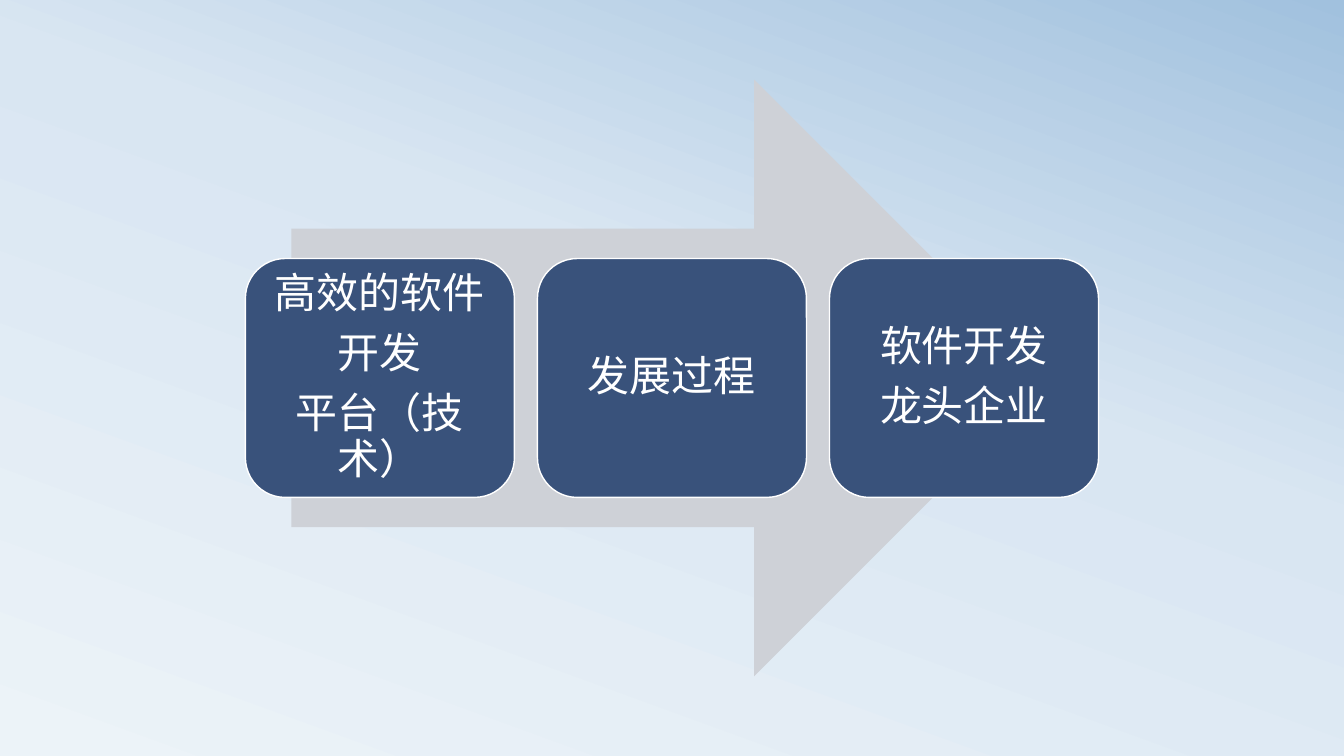
"""Build a slide with three steps on a broad right arrow."""
from copy import deepcopy

from pptx import Presentation
from pptx.dml.color import RGBColor
from pptx.enum.shapes import MSO_SHAPE
from pptx.enum.text import MSO_ANCHOR, PP_ALIGN
from pptx.oxml.ns import qn
from pptx.util import Cm, Pt

STEPS = [
    ["高效的软件", "开发", "平台（技术）"],
    ["发展过程"],
    ["软件开发", "龙头企业"],
]
COLORS = {"arrow": "CED1D7", "box": "39527B", "white": "FFFFFF"}
STOPS = [(0, "ECF3F8"), (0.58, "D9E6F2"), (1, "A1C1DE")]
WIDTH, HEIGHT = 33.87, 19.05
ARROW_W, ARROW_H = 19.18, 15.04
BOX_W, BOX_H, GAP = 6.78, 6.02, 0.58


def rgb(name):
    return RGBColor.from_string(COLORS[name])


def paint(slide):
    fill = slide.background.fill
    fill.gradient()
    fill.gradient_angle = 70
    stops = slide.element.find(".//" + qn("a:gsLst"))
    stops.append(deepcopy(stops[-1]))
    for stop, (place, color) in zip(fill.gradient_stops, STOPS):
        stop.position = place
        stop.color.rgb = RGBColor.from_string(color)


def add_shape(slide, kind, left, width, height, color):
    top = (HEIGHT - height) / 2
    shape = slide.shapes.add_shape(kind, Cm(left), Cm(top), Cm(width), Cm(height))
    shape.shadow.inherit = False
    shape.fill.solid()
    shape.fill.fore_color.rgb = rgb(color)
    return shape


def add_step(slide, left, lines):
    box = add_shape(slide, MSO_SHAPE.ROUNDED_RECTANGLE, left, BOX_W, BOX_H, "box")
    box.line.color.rgb = rgb("white")
    box.line.width = Pt(1)
    frame = box.text_frame
    frame.word_wrap = True
    frame.vertical_anchor = MSO_ANCHOR.MIDDLE
    frame.margin_left = frame.margin_right = Cm(0.3)
    frame.margin_top = frame.margin_bottom = Cm(0.3)
    for i, line in enumerate(lines):
        para = frame.add_paragraph() if i else frame.paragraphs[0]
        para.alignment = PP_ALIGN.CENTER
        para.line_spacing = 0.9
        para.space_after = Pt(10.5)
        run = para.add_run()
        run.text = line
        run.font.name = "Calibri"
        run.font.size = Pt(30)
        run.font.color.rgb = rgb("white")


def main():
    deck = Presentation()
    deck.slide_width, deck.slide_height = Cm(WIDTH), Cm(HEIGHT)
    slide = deck.slides.add_slide(deck.slide_layouts[6])
    paint(slide)
    left = (WIDTH - ARROW_W) / 2
    arrow = add_shape(slide, MSO_SHAPE.RIGHT_ARROW, left, ARROW_W, ARROW_H, "arrow")
    arrow.line.fill.background()
    pitch = BOX_W + GAP
    start = (WIDTH - len(STEPS) * pitch + GAP) / 2
    for i, lines in enumerate(STEPS):
        add_step(slide, start + i * pitch, lines)
    deck.save("out.pptx")


if __name__ == "__main__":
    main()
